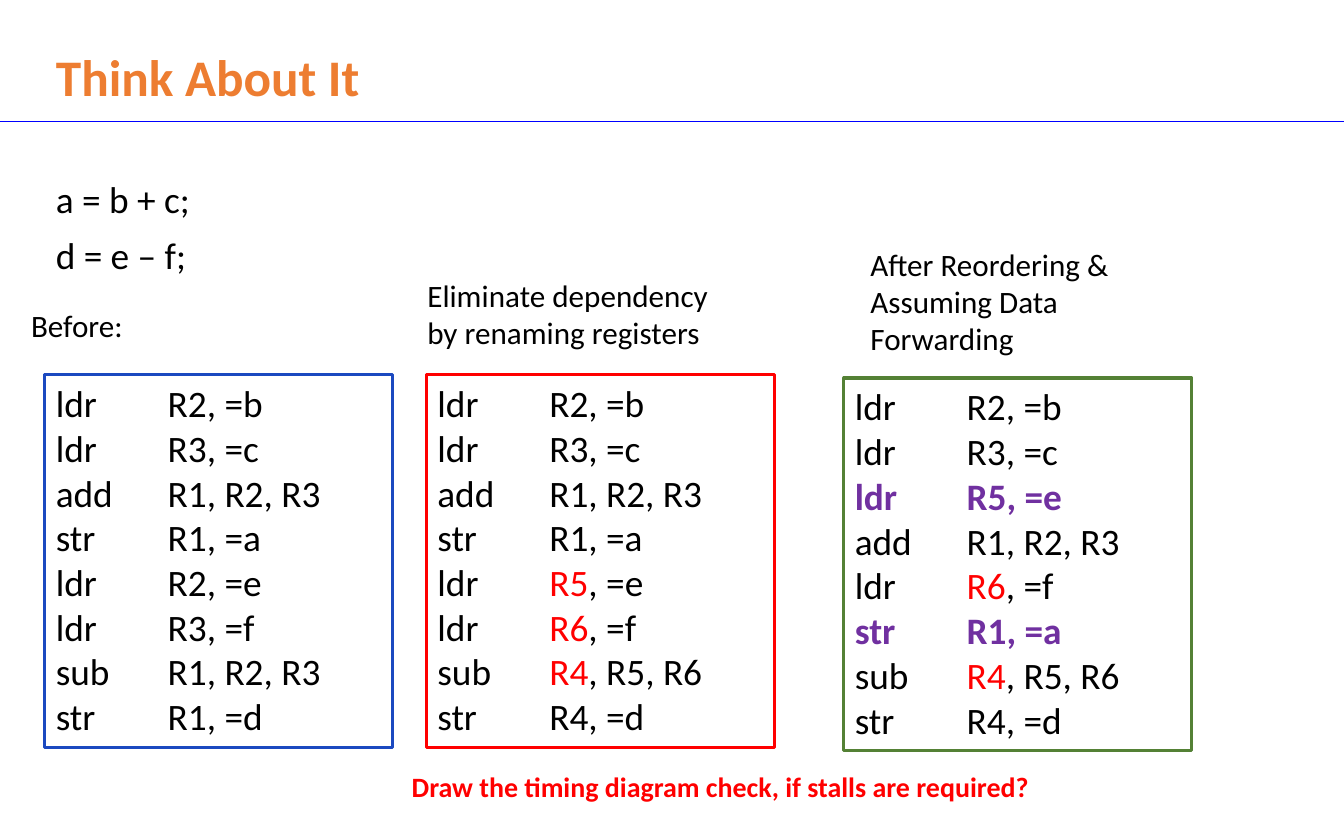
from pptx import Presentation
from pptx.dml.color import RGBColor
from pptx.enum.shapes import MSO_CONNECTOR as Connector, MSO_SHAPE as Shape
from pptx.enum.text import MSO_ANCHOR as Anchor, MSO_AUTO_SIZE as AutoSize, PP_ALIGN as Align
from pptx.oxml.ns import qn
from pptx.util import Inches, Pt
from lxml.etree import SubElement

COLORS = {
    "text": "000000", "title": "ED7D31", "rule": "0000FF", "question": "FF0000",
    "before": "1B49C0", "renaming": "FF0000", "reordering": "548135",
    "renamed": "FF0000", "moved": "7030A0",
}
FONT = "Calibri"
LISTING_WIDTH, LISTING_HEIGHT = 3.11, 3.33
OPERAND_TAB = 1


def color(name):
    return RGBColor.from_string(COLORS[name])


class SlideBuilder:
    def __init__(self, slide):
        self.slide = slide

    def style(self, font, size, name="text", bold=False):
        font.name, font.size, font.bold = FONT, Pt(size), bold
        font.color.rgb = color(name)

    def prepare(self, frame):
        frame.word_wrap = True
        frame.auto_size = AutoSize.SHAPE_TO_FIT_TEXT
        frame.vertical_anchor = Anchor.TOP

    def paragraph(self, frame, index):
        para = frame.add_paragraph() if index else frame.paragraphs[0]
        para.alignment = Align.LEFT
        return para

    def tab_stop(self, para):
        stops = SubElement(para._p.get_or_add_pPr(), qn("a:tabLst"))
        SubElement(stops, qn("a:tab"), pos=str(Inches(OPERAND_TAB)), algn="l")

    def fill_text(self, frame, lines, size, name="text", bold=False, spacing=None, gap=0):
        self.prepare(frame)
        for index, line in enumerate(lines):
            para = self.paragraph(frame, index)
            para.text = line
            para.line_spacing = spacing
            para.space_before = Pt(gap if index else 0)
            self.style(para.font, size, name, bold)

    def title(self, text, left, top, width, height):
        heading = self.slide.shapes.title
        heading.left, heading.top = Inches(left), Inches(top)
        heading.width, heading.height = Inches(width), Inches(height)
        self.fill_text(heading.text_frame, [text], 33, "title", True)

    def text(self, lines, left, top, width, height, size=20, **look):
        box = self.slide.shapes.add_textbox(
            Inches(left), Inches(top), Inches(width), Inches(height))
        self.fill_text(box.text_frame, lines, size, **look)

    def rule(self, top, width):
        line = self.slide.shapes.add_connector(
            Connector.STRAIGHT, 0, Inches(top), Inches(width), Inches(top))
        line.line.color.rgb = color("rule")
        line.line.width = Pt(0.75)
        SubElement(line._element.spPr, qn("a:effectLst"))

    def listing(self, instructions, left, top, border):
        box = self.slide.shapes.add_shape(
            Shape.RECTANGLE, Inches(left), Inches(top),
            Inches(LISTING_WIDTH), Inches(LISTING_HEIGHT))
        box.shadow.inherit = False
        box.fill.background()
        box.line.color.rgb = color(border)
        box.line.width = Pt(2)
        self.prepare(box.text_frame)
        for index, (opcode, operands, *change) in enumerate(instructions):
            para = self.paragraph(box.text_frame, index)
            self.tab_stop(para)
            moved = "moved" in change
            self.style(para.font, 24, "moved" if moved else "text", moved)
            if "renamed" in change:
                para.add_run().text = f"{opcode}\t"
                register = para.add_run()
                register.text = operands[:2]
                register.font.color.rgb = color("renamed")
                para.add_run().text = operands[2:]
            else:
                para.add_run().text = f"{opcode}\t{operands}"


# Instructions: opcode, operands and how the line was changed
FIRST_SUM = [("ldr", "R2, =b"), ("ldr", "R3, =c"), ("add", "R1, R2, R3"), ("str", "R1, =a")]
LOADS, ADD = FIRST_SUM[:2], FIRST_SUM[2]
LOAD_F = ("ldr", "R6, =f", "renamed")
RENAMED_END = [("sub", "R4, R5, R6", "renamed"), ("str", "R4, =d")]

BEFORE = FIRST_SUM + [
    ("ldr", "R2, =e"), ("ldr", "R3, =f"), ("sub", "R1, R2, R3"), ("str", "R1, =d")]
RENAMING = FIRST_SUM + [("ldr", "R5, =e", "renamed"), LOAD_F] + RENAMED_END
REORDERING = LOADS + [
    ("ldr", "R5, =e", "moved"), ADD, LOAD_F, ("str", "R1, =a", "moved")] + RENAMED_END


def main():
    deck = Presentation()
    deck.slide_width, deck.slide_height = Inches(12.01), Inches(7.5)
    page = SlideBuilder(deck.slides.add_slide(deck.slide_layouts[5]))

    # Heading
    page.title("Think About It", 0.4, 0.35, 6.15, 0.66)
    page.rule(1.09, 12.01)

    # Source statements
    page.text(["a = b + c;", "d = e – f;"], 0.4, 1.57, 2.28, 1.06,
              size=24, spacing=0.9, gap=10)

    # Captions above the listings
    page.text(["Before:"], 0.18, 2.69, 1.24, 0.44)
    page.text(["Eliminate dependency", "by renaming registers"], 3.72, 2.42, 3.28, 0.77)
    page.text(["After Reordering &", "Assuming Data Forwarding"], 7.68, 2.14, 2.84, 1.11)

    # Assembly listings
    page.listing(BEFORE, 0.4, 3.35, "before")
    page.listing(RENAMING, 3.81, 3.35, "renaming")
    page.listing(REORDERING, 7.54, 3.38, "reordering")

    # Closing question
    page.text(["Draw the timing diagram check, if stalls are required?"],
              3.58, 6.83, 6.92, 0.4, size=18, name="question", bold=True)

    deck.save("out.pptx")


if __name__ == "__main__":
    main()
